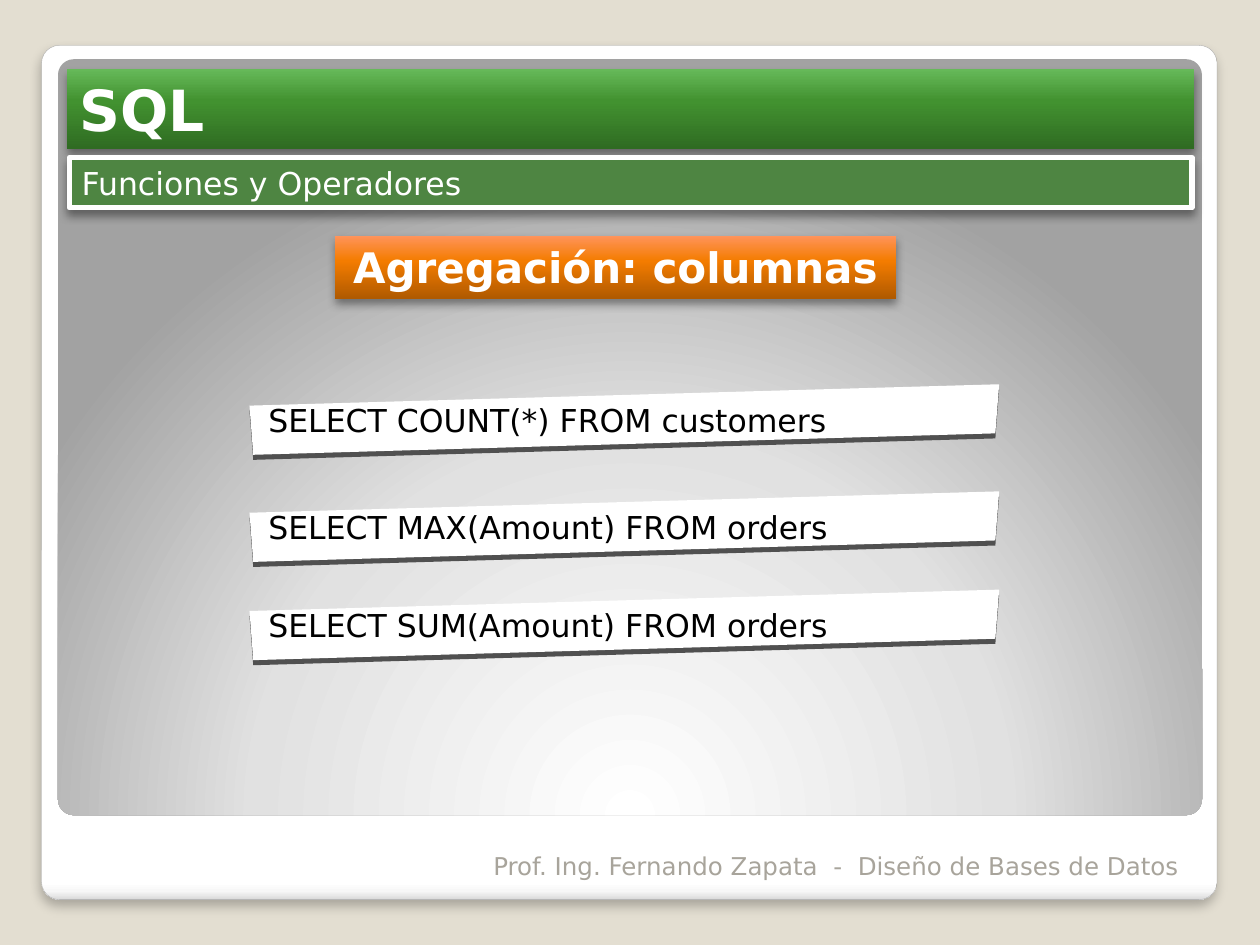
"""Build the SQL aggregate functions slide."""
from dataclasses import dataclass
from typing import Optional, Union

from lxml import etree
from pptx import Presentation
from pptx.dml.color import RGBColor
from pptx.enum import shapes, text
from pptx.oxml.ns import qn
from pptx.util import Inches, Pt


@dataclass(frozen=True)
class Gradient:
    """Colour stops with an angle, or a focus rectangle for a radial fill."""
    stops: tuple
    angle: int = 270
    focus: Optional[tuple] = None


@dataclass(frozen=True)
class Shadow:
    """Outer shadow cast straight down."""
    alpha: int = 40
    blur: float = 5.2
    distance: float = 3


@dataclass(frozen=True)
class Theme:
    """Colours, font and type sizes of the slide."""
    font: str = "DejaVu Sans"
    white: str = "FFFFFF"
    black: str = "000000"
    muted: str = "A8A49B"
    background: str = "E3DED1"
    border: str = "A4A4A4"
    edge: str = "505050"
    subtitle: str = "4E8542"
    frame: Gradient = Gradient(((0, "FFFFFF"), (98, "FFFFFF"), (99, "F7F7F7"), (100, "DADADA")), 90)
    panel: Gradient = Gradient(((0, "FFFFFF"), (55, "E1E1E1"), (100, "A2A2A2")),
                               focus=(50, 175, 50, -75))
    green: Gradient = Gradient(((0, "2F6B22"), (60, "429230"), (100, "66B959")))
    orange: Gradient = Gradient(((0, "B05A00"), (60, "F47C00"), (100, "FF945C")))
    title_size: float = 32.4
    heading_size: float = 24
    body_size: float = 18
    footer_size: float = 14


@dataclass(frozen=True)
class Box:
    """Position and size in inches."""
    left: float
    top: float
    width: float
    height: float

    def lengths(self) -> tuple:
        """Return the four values as lengths."""
        return tuple(Inches(v) for v in (self.left, self.top, self.width, self.height))


@dataclass(frozen=True)
class Query:
    """An SQL statement and the top of its tilted card."""
    sql: str
    top: float


THEME = Theme()
QUERIES = (
    Query("SELECT COUNT(*) FROM customers", 3.05),
    Query("SELECT MAX(Amount) FROM orders", 3.9),
    Query("SELECT SUM(Amount) FROM orders", 4.68),
)
CARD_CORNERS = ((1.98, 0.17), (7.93, 0), (7.9, 0.39), (2.01, 0.56))
CARD_DEPTH = 0.04


def set_gradient(sp, gradient: Gradient) -> None:
    """Fill a shape with any number of gradient stops."""
    sp.fill.gradient()
    fill = sp.element.spPr.find(qn("a:gradFill"))
    for child in list(fill):
        fill.remove(child)
    stops = etree.SubElement(fill, qn("a:gsLst"))
    for position, color in gradient.stops:
        stop = etree.SubElement(stops, qn("a:gs"), pos=str(position * 1000))
        etree.SubElement(stop, qn("a:srgbClr"), val=color)
    if gradient.focus:
        radial = etree.SubElement(fill, qn("a:path"))
        radial.set("path", "circle")
        sides = {k: str(v * 1000) for k, v in zip("ltrb", gradient.focus)}
        etree.SubElement(radial, qn("a:fillToRect"), **sides)
    else:
        etree.SubElement(fill, qn("a:lin"), ang=str(gradient.angle * 60000), scaled="0")


def set_shadow(sp, shadow: Optional[Shadow]) -> None:
    """Replace the inherited shadow."""
    sp.shadow.inherit = False
    if shadow:
        effects = sp.element.spPr.find(qn("a:effectLst"))
        outer = etree.SubElement(effects, qn("a:outerShdw"), blurRad=str(Pt(shadow.blur)),
                                 dist=str(Pt(shadow.distance)), dir="5400000",
                                 algn="t", rotWithShape="0")
        color = etree.SubElement(outer, qn("a:srgbClr"), val=THEME.black)
        etree.SubElement(color, qn("a:alpha"), val=str(shadow.alpha * 1000))


def style(sp, fill: Union[str, Gradient], *, line: Optional[str] = None,
          line_width: float = 0, shadow: Optional[Shadow] = None) -> None:
    """Set fill, outline and shadow of a shape."""
    if isinstance(fill, Gradient):
        set_gradient(sp, fill)
    else:
        sp.fill.solid()
        sp.fill.fore_color.rgb = RGBColor.from_string(fill)
    if line:
        sp.line.color.rgb = RGBColor.from_string(line)
        sp.line.width = Pt(line_width)
    else:
        sp.line.fill.background()
    set_shadow(sp, shadow)


def write(sp, content: str, *, size: float, color: str = THEME.white, bold: bool = False,
          align=text.PP_ALIGN.LEFT, anchor=text.MSO_ANCHOR.MIDDLE,
          left: float = 0.1, right: float = 0.1) -> None:
    """Put one formatted line of text in a shape."""
    tf = sp.text_frame
    tf.word_wrap = True
    tf.auto_size = text.MSO_AUTO_SIZE.NONE
    tf.vertical_anchor = anchor
    tf.margin_left, tf.margin_right = Inches(left), Inches(right)
    tf.margin_top = tf.margin_bottom = Inches(0.05)
    p = tf.paragraphs[0]
    p.alignment = align
    r = p.add_run()
    r.text = content
    r.font.name, r.font.size, r.font.bold = THEME.font, Pt(size), bold
    r.font.color.rgb = RGBColor.from_string(color)


def add_box(s, box: Box, fill: Union[str, Gradient], *, radius: Optional[float] = None, **look):
    """Add a styled rectangle, rounded when a radius is given."""
    kind = shapes.MSO_SHAPE.RECTANGLE if radius is None else shapes.MSO_SHAPE.ROUNDED_RECTANGLE
    sp = s.shapes.add_shape(kind, *box.lengths())
    if radius is not None:
        sp.adjustments[0] = radius
    style(sp, fill, **look)
    return sp


def add_slab(s, top: float, fill: str):
    """Add one tilted four-sided outline."""
    points = [(Inches(x), Inches(top + y)) for x, y in CARD_CORNERS]
    builder = s.shapes.build_freeform(*points[0], scale=1.0)
    builder.add_line_segments(points[1:], close=True)
    sp = builder.convert_to_shape()
    style(sp, fill)
    return sp


def add_query(s, query: Query) -> None:
    """Add a tilted card with a dark lower edge."""
    add_slab(s, query.top + CARD_DEPTH, THEME.edge)
    face = add_slab(s, query.top, THEME.white)
    write(face, query.sql, size=THEME.body_size, color=THEME.black, left=0.15)


def main() -> None:
    """Build and save the slide."""
    prs = Presentation()
    prs.slide_width, prs.slide_height = Inches(10), Inches(7.5)
    s = prs.slides.add_slide(prs.slide_layouts[5])
    s.background.fill.solid()
    s.background.fill.fore_color.rgb = RGBColor.from_string(THEME.background)

    add_box(s, Box(0.33, 0.36, 9.33, 6.78), THEME.frame, radius=0.021,
            line=THEME.border, line_width=0.16, shadow=Shadow(25, 6, 4))
    panel = add_box(s, Box(0.46, 0.47, 9.08, 6), THEME.panel, radius=0.021)

    title = s.shapes.title
    title.left, title.top, title.width, title.height = Box(0.53, 0.55, 8.95, 0.63).lengths()
    style(title, THEME.green, shadow=Shadow())
    write(title, "SQL", size=THEME.title_size, bold=True)
    panel.element.addnext(title.element)

    subtitle = add_box(s, Box(0.55, 1.25, 8.91, 0.4), THEME.subtitle,
                       line=THEME.white, line_width=3, shadow=Shadow())
    write(subtitle, "Funciones y Operadores", size=THEME.body_size)
    heading = add_box(s, Box(2.66, 1.87, 4.45, 0.5), THEME.orange, shadow=Shadow())
    write(heading, "Agregación: columnas", size=THEME.heading_size, bold=True,
          align=text.PP_ALIGN.CENTER)
    for query in QUERIES:
        add_query(s, query)

    footer = s.shapes.add_textbox(*Box(3.75, 6.64, 5.78, 0.4).lengths())
    write(footer, "Prof. Ing. Fernando Zapata  -  Diseño de Bases de Datos",
          size=THEME.footer_size, color=THEME.muted, align=text.PP_ALIGN.RIGHT,
          anchor=text.MSO_ANCHOR.BOTTOM, right=0.17)
    prs.save("out.pptx")


if __name__ == "__main__":
    main()
